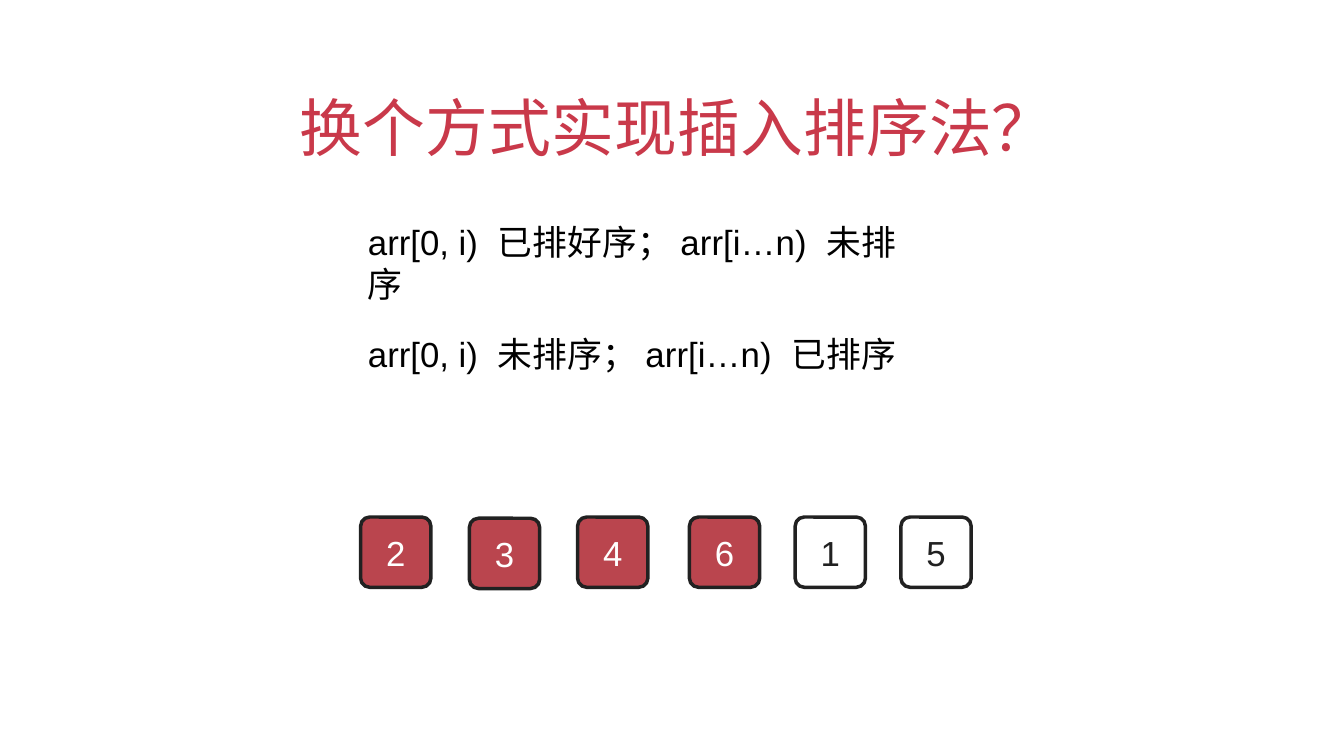
from pptx import Presentation
from pptx.dml.color import RGBColor
from pptx.enum.shapes import MSO_SHAPE
from pptx.enum.text import MSO_ANCHOR, PP_ALIGN
from pptx.oxml.ns import qn
from pptx.util import Inches, Pt

ROSE = RGBColor(0xC9, 0x39, 0x4A)
RED = RGBColor(0xBA, 0x45, 0x4E)
INK = RGBColor(0x21, 0x21, 0x21)
BLACK = RGBColor(0, 0, 0)
WHITE = RGBColor(0xFF, 0xFF, 0xFF)
LATIN = "Arial"
HAN = "Noto Sans CJK TC"


def add_run(par, text, size, face, color, track=0):
    """Add a run; track is the extra letter spacing in points."""
    run = par.add_run()
    run.text = text
    font = run.font
    font.size = Pt(size)
    font.name = face
    font.color.rgb = color
    props = run._r.get_or_add_rPr()
    props.set("spc", str(round(track * 100)))
    if face == HAN:
        props.find(qn("a:latin")).addnext(
            props.makeelement(qn("a:ea"), {"typeface": HAN}))


def set_frame(frame, anchor):
    frame.word_wrap = True
    frame.vertical_anchor = anchor
    frame.margin_left = frame.margin_right = frame.margin_bottom = 0
    frame.margin_top = Inches(0.02)


prs = Presentation()
prs.slide_width = Inches(21.99)
prs.slide_height = Inches(12.37)
slide = prs.slides.add_slide(prs.slide_layouts[5])

# Title
title = slide.shapes.title
title.left, title.top = Inches(4.9), Inches(1.43)
title.width, title.height = Inches(12.4), Inches(1.26)
set_frame(title.text_frame, MSO_ANCHOR.TOP)
par = title.text_frame.paragraphs[0]
par.alignment = PP_ALIGN.LEFT
add_run(par, "换个⽅式实现插⼊排序法？", 74, HAN, ROSE, 0.2)

# Array cells: left, top, digit, sorted
cells = [
    (5.9, 8.46, "2", True),
    (7.68, 8.48, "3", True),
    (9.45, 8.46, "4", True),
    (11.28, 8.46, "6", True),
    (13.01, 8.46, "1", False),
    (14.74, 8.46, "5", False),
]
for left, top, digit, done in cells:
    cell = slide.shapes.add_shape(
        MSO_SHAPE.ROUNDED_RECTANGLE,
        Inches(left), Inches(top), Inches(1.15), Inches(1.15))
    cell.adjustments[0] = 0.13
    cell.shadow.inherit = False
    cell.line.color.rgb = INK
    cell.line.width = Pt(4.12)
    if done:
        cell.fill.solid()
        cell.fill.fore_color.rgb = RED
    else:
        cell.fill.background()
    set_frame(cell.text_frame, MSO_ANCHOR.MIDDLE)
    par = cell.text_frame.paragraphs[0]
    par.alignment = PP_ALIGN.CENTER
    add_run(par, digit, 41, LATIN, WHITE if done else INK, 0.1)

# Loop invariants
box = slide.shapes.add_textbox(
    Inches(6.02), Inches(3.59), Inches(8.81), Inches(1.87))
set_frame(box.text_frame, MSO_ANCHOR.TOP)
rules = [("已排好序", "未排序"), ("未排序", "已排序")]
for row, (head, tail) in enumerate(rules):
    if row:
        par = box.text_frame.add_paragraph()
        par.space_before = Pt(34.2)
    else:
        par = box.text_frame.paragraphs[0]
    for text, face, track in [
        ("arr[0, i)", LATIN, 0),
        (" ", LATIN, 11.4),
        (head, HAN, 0.2),
        ("； ", HAN, 0.1),
        ("arr[i…n)", LATIN, 0.1),
        (" ", LATIN, 11.4),
        (tail, HAN, 0.2),
    ]:
        add_run(par, text, 41, face, BLACK, track)

prs.save("out.pptx")
